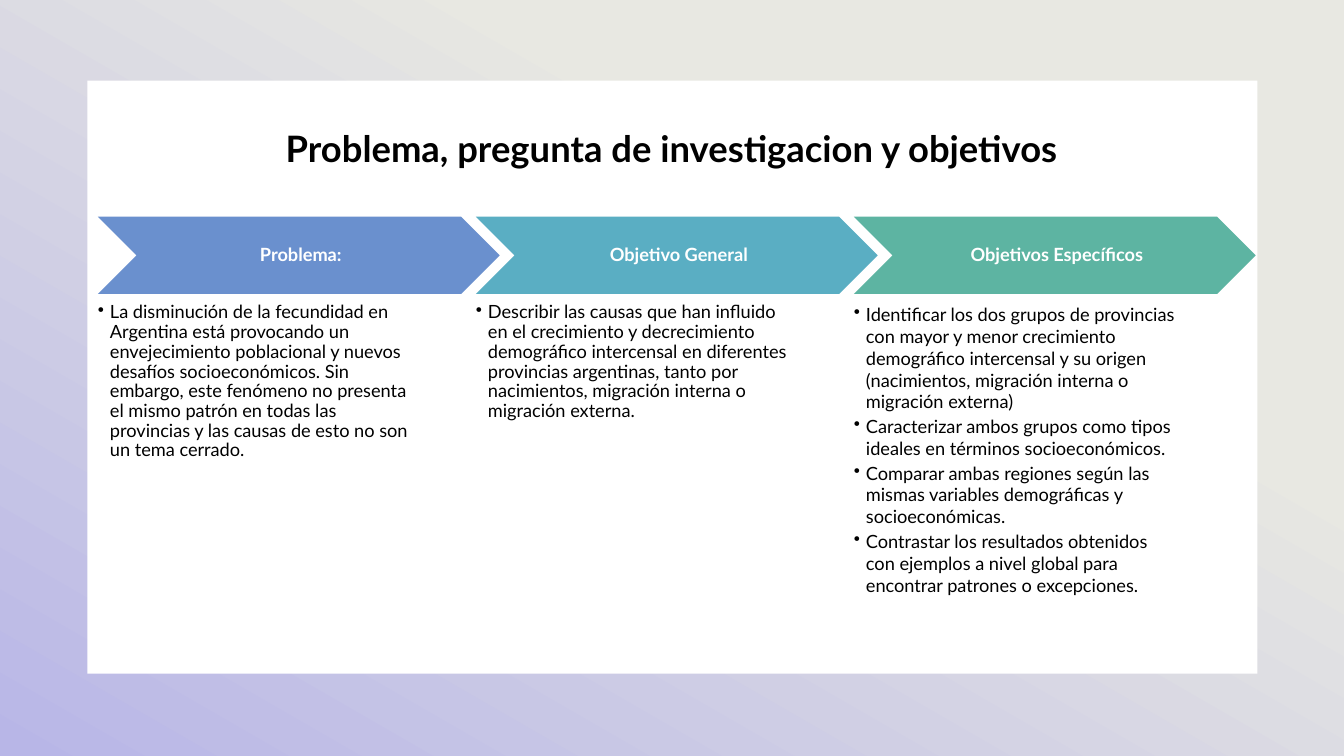
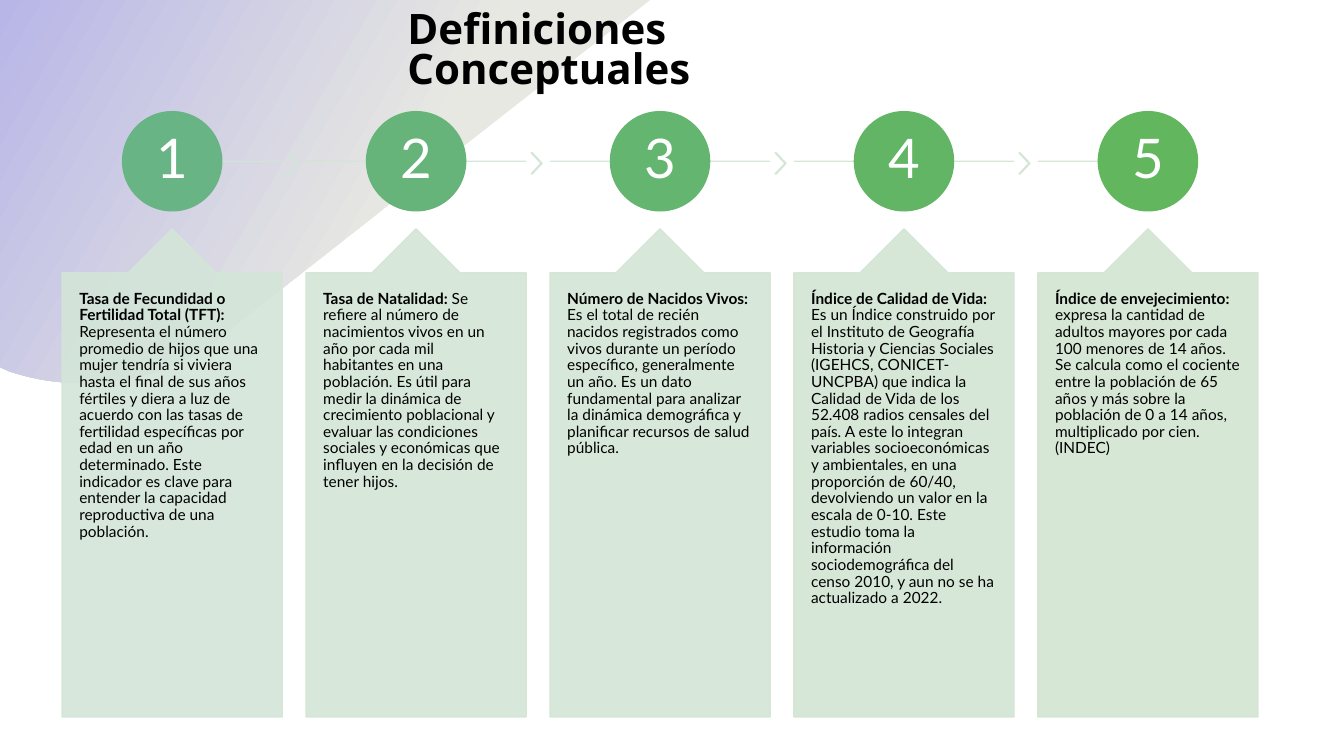
from dataclasses import dataclass
from typing import NamedTuple, Sequence

from lxml.etree import SubElement
from pptx import Presentation
from pptx.dml.color import RGBColor
from pptx.enum.shapes import MSO_CONNECTOR, MSO_SHAPE
from pptx.enum.text import MSO_ANCHOR, MSO_AUTO_SIZE, PP_ALIGN
from pptx.oxml.ns import qn
from pptx.util import Emu, Inches, Pt

# The slide is a grid of 160 columns by 90 rows of square cells.
GRID_COLUMNS, GRID_ROWS = 160, 90
CELL = Inches(1) // 12


@dataclass(frozen=True)
class Theme:
    body_font: str = "Lato"
    display_font: str = "Noto Sans"
    ink: str = "000000"
    paper: str = "FFFFFF"
    gradient_light: str = "E8E8E2"
    gradient_dark: str = "B8B6E7"
    title_size: int = 26
    display_size: int = 30
    number_size: int = 39
    body_size: int = 13
    card_size: int = 11
    tint_opacity: int = 90


THEME = Theme()


class Box(NamedTuple):
    column: float
    row: float
    columns: float
    rows: float


class Span(NamedTuple):
    text: str
    bold: bool = False


class Point(NamedTuple):
    column: float
    row: float


@dataclass(frozen=True)
class Track:
    """Equal columns that repeat at a fixed pitch."""
    start: float
    pitch: float
    width: float

    def left(self, index: int) -> float:
        return self.start + index * self.pitch


@dataclass(frozen=True)
class Stage:
    heading: str
    color: str
    bullets: tuple[str, ...]
    line_spacing: float = 0.9


@dataclass(frozen=True)
class Definition:
    term: str
    meaning: str
    color: str
    tint: str


STAGES = (
    Stage("Problema:", "6A90CE", (
        "La disminución de la fecundidad en Argentina está provocando un envejecimiento "
        "poblacional y nuevos desafíos socioeconómicos. Sin embargo, este fenómeno no "
        "presenta el mismo patrón en todas las provincias y las causas de esto no son un "
        "tema cerrado.",)),
    Stage("Objetivo General", "5AAEC3", (
        "Describir las causas que han influido en el crecimiento y decrecimiento demográfico "
        "intercensal en diferentes provincias argentinas, tanto por nacimientos, migración "
        "interna o migración externa.",)),
    Stage("Objetivos Específicos", "5DB4A2", (
        "Identificar los dos grupos de provincias con mayor y menor crecimiento demográfico "
        "intercensal y su origen (nacimientos, migración interna o migración externa)",
        "Caracterizar ambos grupos como tipos ideales en términos socioeconómicos.",
        "Comparar ambas regiones según las mismas variables demográficas y socioeconómicas.",
        "Contrastar los resultados obtenidos con ejemplos a nivel global para encontrar "
        "patrones o excepciones."), 1.0),
)

DEFINITIONS = (
    Definition(
        "Tasa de Fecundidad o Fertilidad Total (TFT): ",
        "Representa el número promedio de hijos que una mujer tendría si viviera hasta el final "
        "de sus años fértiles y diera a luz de acuerdo con las tasas de fertilidad específicas "
        "por edad en un año determinado. Este indicador es clave para entender la capacidad "
        "reproductiva de una población.", "68B484", "D3E5D8"),
    Definition(
        "Tasa de Natalidad: ",
        "Se refiere al número de nacimientos vivos en un año por cada mil habitantes en una "
        "población. Es útil para medir la dinámica de crecimiento poblacional y evaluar las "
        "condiciones sociales y económicas que influyen en la decisión de tener hijos.",
        "66B47A", "D3E5D6"),
    Definition(
        "Número de Nacidos Vivos: ",
        "Es el total de recién nacidos registrados como vivos durante un período específico, "
        "generalmente un año. Es un dato fundamental para analizar la dinámica demográfica y "
        "planificar recursos de salud pública.", "63B570", "D3E5D5"),
    Definition(
        "Índice de Calidad de Vida: ",
        "Es un Índice construido por el Instituto de Geografía Historia y Ciencias Sociales "
        "(IGEHCS, CONICET-UNCPBA) que indica la Calidad de Vida de los 52.408 radios censales "
        "del país. A este lo integran variables socioeconómicas y ambientales, en una proporción "
        "de 60/40, devolviendo un valor en la escala de 0-10. Este estudio toma la información "
        "sociodemográfica del censo 2010, y aun no se ha actualizado a 2022.",
        "61B565", "D2E5D3"),
    Definition(
        "Índice de envejecimiento: ",
        "expresa la cantidad de adultos mayores por cada 100 menores de 14 años. Se calcula como "
        "el cociente entre la población de 65 años y más sobre la población de 0 a 14 años, "
        "multiplicado por cien. (INDEC)", "62B65E", "D3E5D2"),
)


def cells(count: float) -> Emu:
    return Emu(round(count * CELL))


def frame_of(box: Box) -> list[Emu]:
    return [cells(value) for value in box]


def write_text(text_frame, paragraphs: Sequence[Sequence[Span]], *, size: float,
               font: str = THEME.body_font, color: str = THEME.ink,
               align=PP_ALIGN.LEFT, anchor=MSO_ANCHOR.TOP,
               insets: tuple[float, float, float, float] = (0, 0, 0, 0),
               line_spacing: float = 0.9, space_after: float = 0,
               bullet_indent: float = 0) -> None:
    """Fill a text frame; insets are left, top, right, bottom in inches."""
    text_frame.word_wrap = True
    text_frame.auto_size = MSO_AUTO_SIZE.NONE
    text_frame.vertical_anchor = anchor
    (text_frame.margin_left, text_frame.margin_top,
     text_frame.margin_right, text_frame.margin_bottom) = map(Inches, insets)
    for index, spans in enumerate(paragraphs):
        paragraph = text_frame.add_paragraph() if index else text_frame.paragraphs[0]
        paragraph.alignment = align
        paragraph.line_spacing = line_spacing
        paragraph.space_before = Pt(0)
        paragraph.space_after = Pt(space_after)
        if bullet_indent:
            properties = paragraph._p.get_or_add_pPr()
            properties.set("marL", str(Inches(bullet_indent)))
            properties.set("indent", str(-Inches(bullet_indent)))
            SubElement(properties, qn("a:buChar")).set("char", "•")
        for span in spans:
            run = paragraph.add_run()
            run.text = span.text
            run.font.name = font
            run.font.size = Pt(size)
            run.font.bold = span.bold
            run.font.color.rgb = RGBColor.from_string(color)


def set_opacity(shape, percent: int) -> None:
    for color in shape.element.spPr.iter(qn("a:srgbClr")):
        SubElement(color, qn("a:alpha")).set("val", str(percent * 1000))


def add_filled_shape(slide, kind, box: Box, color: str, *, outlined: bool = False,
                     opacity: int = 100, adjustments: Sequence[float] = ()):
    shape = slide.shapes.add_shape(kind, *frame_of(box))
    shape.shadow.inherit = False
    for index, value in enumerate(adjustments):
        shape.adjustments[index] = value
    shape.fill.solid()
    shape.fill.fore_color.rgb = RGBColor.from_string(color)
    if outlined:
        shape.line.color.rgb = RGBColor.from_string(color)
        shape.line.width = Pt(1)
    else:
        shape.line.fill.background()
    if opacity < 100:
        set_opacity(shape, opacity)
    return shape


def add_line(slide, start: Point, end: Point, color: str) -> None:
    line = slide.shapes.add_connector(
        MSO_CONNECTOR.STRAIGHT, *(cells(value) for value in (*start, *end)))
    line.line.color.rgb = RGBColor.from_string(color)
    line.line.width = Pt(1)
    set_opacity(line, THEME.tint_opacity)
    SubElement(line.element.spPr, qn("a:effectLst"))


def apply_gradient(shape, *, angle: float, light_until: float) -> None:
    shape.shadow.inherit = False
    shape.line.fill.background()
    shape.fill.gradient()
    shape.fill.gradient_angle = angle
    stops = ((light_until, THEME.gradient_light), (1, THEME.gradient_dark))
    for stop, (position, color) in zip(shape.fill.gradient_stops, stops):
        stop.position = position
        stop.color.rgb = RGBColor.from_string(color)


def curve(start: Point, first: Point, second: Point, end: Point, steps: int = 16) -> list[Point]:
    """Sample a cubic Bezier curve, both ends included."""
    points = []
    for step in range(steps + 1):
        t = step / steps
        weights = ((1 - t) ** 3, 3 * t * (1 - t) ** 2, 3 * t * t * (1 - t), t ** 3)
        points.append(Point(*(sum(weight * value for weight, value in zip(weights, axis))
                              for axis in zip(start, first, second, end))))
    return points


def place_title(slide, text: str, box: Box, **text_format) -> None:
    """Format the title placeholder and bring it in front of the backdrop."""
    title = slide.shapes.title
    title.left, title.top, title.width, title.height = frame_of(box)
    write_text(title.text_frame, [[Span(text, True)]], insets=(0.1, 0.05, 0.1, 0.05),
               **text_format)
    slide.shapes.element.append(title.element)


def add_stage(slide, stage: Stage, left: float, width: float) -> None:
    chevron = add_filled_shape(slide, MSO_SHAPE.CHEVRON, Box(left, 25.8, width, 9.2), stage.color)
    write_text(chevron.text_frame, [[Span(stage.heading, True)]], size=THEME.body_size,
               color=THEME.paper, align=PP_ALIGN.CENTER, anchor=MSO_ANCHOR.MIDDLE,
               insets=(0.06, 0.02, 0.02, 0.02))
    body = slide.shapes.add_textbox(*frame_of(Box(left, 36.1, width * 0.8, 42)))
    write_text(body.text_frame, [[Span(bullet)] for bullet in stage.bullets],
               size=THEME.body_size, line_spacing=stage.line_spacing, space_after=2,
               bullet_indent=0.12)


def add_definition(slide, definition: Definition, index: int, track: Track) -> None:
    left, middle_row, diameter = track.left(index), 19.2, 11.8
    right, center = left + track.width, left + track.width / 2
    is_last = index == len(DEFINITIONS) - 1
    tinted = {"outlined": True, "opacity": THEME.tint_opacity}

    add_line(slide, Point(left if index else center, middle_row),
             Point(center if is_last else right, middle_row), definition.tint)
    if not is_last:
        add_filled_shape(slide, MSO_SHAPE.CHEVRON, Box(right + 0.6, 18.2, 1.3, 2.5),
                         definition.tint, adjustments=[0.9], **tinted)
    circle = add_filled_shape(
        slide, MSO_SHAPE.OVAL,
        Box(center - diameter / 2, middle_row - diameter / 2, diameter, diameter),
        definition.color, outlined=True)
    write_text(circle.text_frame, [[Span(str(index + 1))]], size=THEME.number_size,
               color=THEME.paper, align=PP_ALIGN.CENTER, anchor=MSO_ANCHOR.MIDDLE,
               insets=(0.04,) * 4)
    card = add_filled_shape(slide, MSO_SHAPE.UP_ARROW_CALLOUT,
                            Box(left, 27.25, track.width, 58.1), definition.tint,
                            adjustments=[0.5, 0.2, 0.2, 0.91], **tinted)
    write_text(card.text_frame, [[Span(definition.term, True), Span(definition.meaning)]],
               size=THEME.card_size, insets=(0.17, 0.18, 0.17, 0.18))


def build_objectives(slide) -> None:
    backdrop = add_filled_shape(slide, MSO_SHAPE.RECTANGLE, Box(0, 0, GRID_COLUMNS, GRID_ROWS),
                                THEME.gradient_light)
    apply_gradient(backdrop, angle=240, light_until=0.32)
    add_filled_shape(slide, MSO_SHAPE.RECTANGLE, Box(10.4, 9.6, 139.3, 70.6), THEME.paper)
    place_title(slide, "Problema, pregunta de investigacion y objetivos",
                Box(28, 15, 104, 7.5), size=THEME.title_size, align=PP_ALIGN.CENTER)
    track = Track(start=11.65, pitch=45, width=47.85)
    for index, stage in enumerate(STAGES):
        add_stage(slide, stage, track.left(index), track.width)


def build_definitions(slide) -> None:
    outline = [
        *curve(Point(9.5, 45.6), Point(6.7, 45.6), Point(3.8, 45.1), Point(1.1, 44.2)),
        Point(0, 43.7), Point(0, 0), Point(77.4, 0), Point(26, 40.3),
        *curve(Point(25.4, 40.8), Point(21.1, 43.8), Point(16.1, 45.5), Point(11, 45.6)),
    ]
    start, *others = [(cells(point.column), cells(point.row)) for point in outline]
    builder = slide.shapes.build_freeform(*start)
    builder.add_line_segments(others, close=True)
    apply_gradient(builder.convert_to_shape(), angle=150, light_until=0.4)
    place_title(slide, "Definiciones Conceptuales", Box(47.3, 0.8, 65.4, 14),
                size=THEME.display_size, font=THEME.display_font, line_spacing=0.8)
    track = Track(start=7.4, pitch=29.04, width=26.2)
    for index, definition in enumerate(DEFINITIONS):
        add_definition(slide, definition, index, track)


def main() -> None:
    presentation = Presentation()
    presentation.slide_width = cells(GRID_COLUMNS)
    presentation.slide_height = cells(GRID_ROWS)
    title_only = presentation.slide_layouts[5]
    for build in (build_objectives, build_definitions):
        build(presentation.slides.add_slide(title_only))
    presentation.save("out.pptx")


if __name__ == "__main__":
    main()
